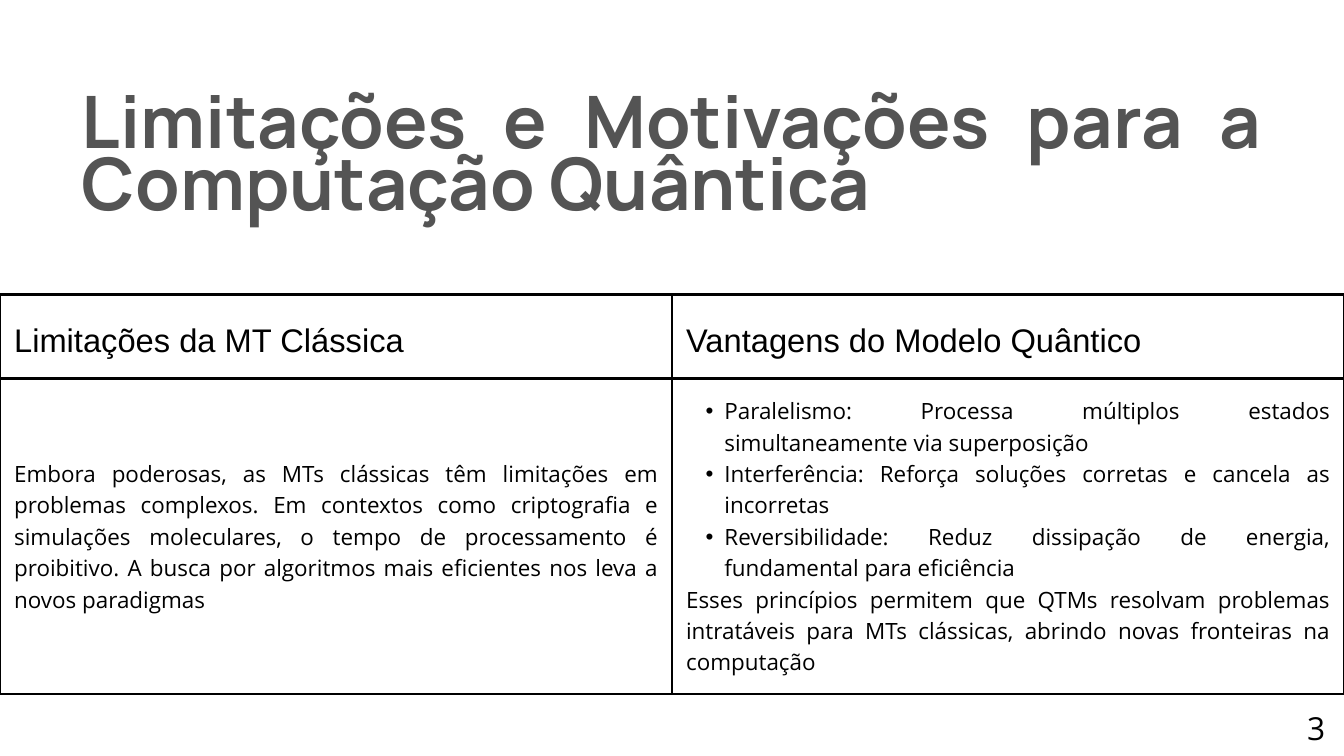
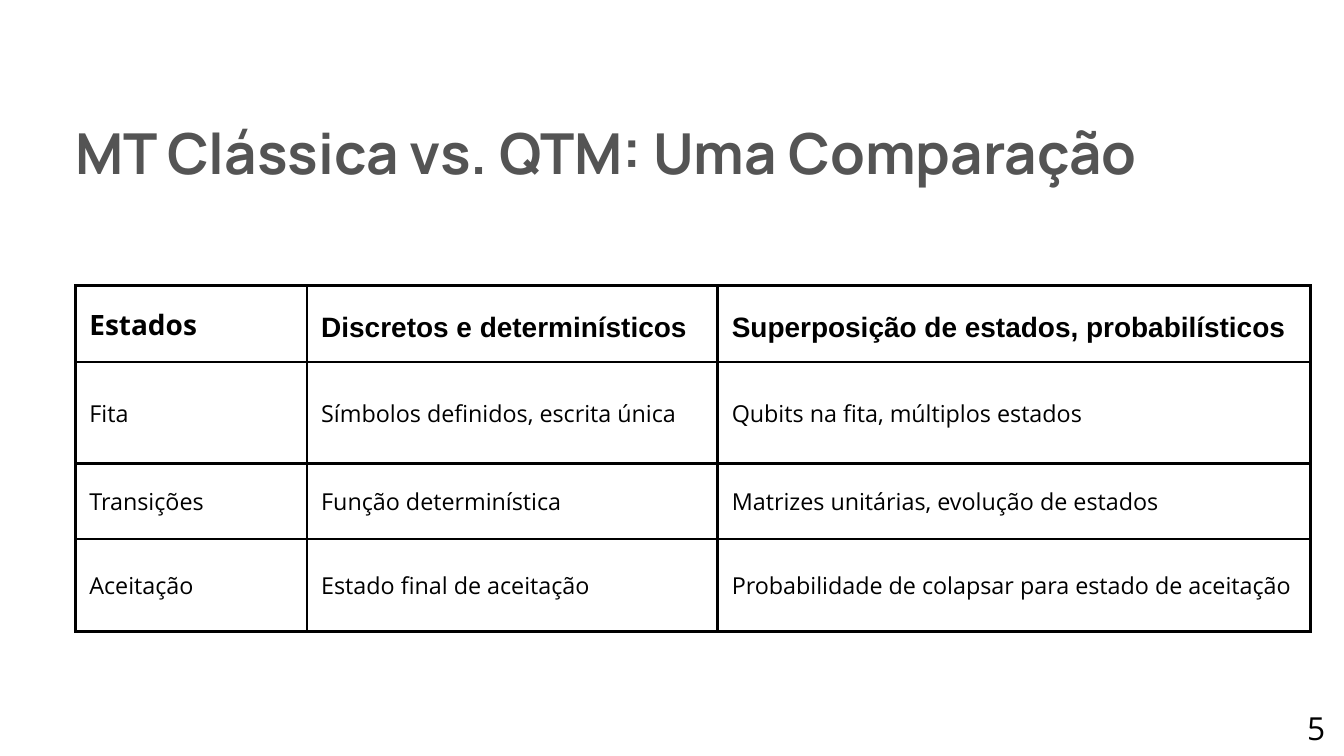
"""Build two slides comparing classical Turing machines with the quantum model."""
from dataclasses import dataclass

import pptx
import pptx.dml.color
import pptx.enum.text
import pptx.oxml
import pptx.oxml.ns
import pptx.util
from pptx.util import Inches

COLORS = {"page": "FFFFFF", "title": "545454", "ink": "000000"}
ALIGN = pptx.enum.text.PP_ALIGN
BORDER_PT = 3
CELL_MARGIN = 0.21
BODY_SPACING = 1.4
TITLE_SPACING = 0.86


@dataclass(frozen=True)
class Style:
    size: float
    font: str = "Open Sans"
    bold: bool = False
    color: str = "ink"
    align: ALIGN = ALIGN.LEFT
    spacing: float = BODY_SPACING


@dataclass(frozen=True)
class Para:
    text: str
    style: Style
    bullet: bool = False


@dataclass(frozen=True)
class Box:
    left: float
    top: float
    width: float
    height: float

    def emu(self) -> list:
        return [Inches(v) for v in (self.left, self.top, self.width, self.height)]


@dataclass(frozen=True)
class Grid:
    box: Box
    cols: list[float]
    rows: list[float]
    cells: list[list[list[Para]]]


@dataclass(frozen=True)
class Page:
    title: str
    title_size: float
    title_box: Box
    grid: Grid
    number: str


NUMBER_BOX = Box(19.45, 10.46, 0.27, 0.63)
NUMBER = Style(34, align=ALIGN.CENTER)
COLUMN_HEAD = Style(35, "Arial", align=ALIGN.JUSTIFY)
COLUMN_BODY = Style(24, align=ALIGN.JUSTIFY)
STATE_HEAD = Style(30, bold=True, align=ALIGN.JUSTIFY)
MODEL_HEAD = Style(30, "Arial", bold=True)
ENTRY = Style(25)

ADVANTAGES = [
    "Paralelismo: Processa múltiplos estados simultaneamente via superposição",
    "Interferência: Reforça soluções corretas e cancela as incorretas",
    "Reversibilidade: Reduz dissipação de energia, fundamental para eficiência",
]
LIMITS = (
    "Embora poderosas, as MTs clássicas têm limitações em problemas complexos. "
    "Em contextos como criptografia e simulações moleculares, o tempo de "
    "processamento é proibitivo. A busca por algoritmos mais eficientes nos leva "
    "a novos paradigmas"
)
OUTLOOK = (
    "Esses princípios permitem que QTMs resolvam problemas intratáveis para MTs "
    "clássicas, abrindo novas fronteiras na computação"
)
COMPARISON = [
    ["Fita", "Símbolos definidos, escrita única", "Qubits na fita, múltiplos estados"],
    ["Transições", "Função determinística", "Matrizes unitárias, evolução de estados"],
    ["Aceitação", "Estado final de aceitação",
     "Probabilidade de colapsar para estado de aceitação"],
]

MOTIVATION = Grid(
    Box(0, 4.38, 20, 5.95), [10, 10], [1.25, 4.7],
    [
        [[Para("Limitações da MT Clássica", COLUMN_HEAD)],
         [Para("Vantagens do Modelo Quântico", COLUMN_HEAD)]],
        [[Para(LIMITS, COLUMN_BODY)],
         [Para(t, COLUMN_BODY, bullet=True) for t in ADVANTAGES]
         + [Para(OUTLOOK, COLUMN_BODY)]],
    ],
)
MODELS = Grid(
    Box(1.12, 4.25, 18.38, 5.16), [3.45, 6.11, 8.82], [1.14, 1.51, 1.12, 1.38],
    [
        [[Para("Estados", STATE_HEAD)],
         [Para("Discretos e determinísticos", MODEL_HEAD)],
         [Para("Superposição de estados, probabilísticos", MODEL_HEAD)]],
        *[[[Para(t, ENTRY)] for t in row] for row in COMPARISON],
    ],
)
PAGES = [
    Page("Limitações e Motivações para a Computação Quântica", 77.5,
         Box(1.22, 1.5, 17.56, 2), MOTIVATION, "3"),
    Page("MT Clássica vs. QTM: Uma Comparação", 60.5,
         Box(1.12, 2.04, 17.66, 0.86), MODELS, "5"),
]


def rgb(name: str) -> pptx.dml.color.RGBColor:
    return pptx.dml.color.RGBColor.from_string(COLORS[name])


def add_bullet(p) -> None:
    p.level = 1
    pPr = p._p.get_or_add_pPr()
    pPr.set("marL", str(Inches(0.57)))
    pPr.set("indent", str(Inches(-0.28)))
    for tag, key, value in (("buFont", "typeface", "Arial"), ("buChar", "char", "•")):
        el = pptx.oxml.parse_xml(f'<a:{tag} {pptx.oxml.ns.nsdecls("a")}/>')
        el.set(key, value)
        pPr.append(el)


def write(tf, paras: list[Para]) -> None:
    for i, para in enumerate(paras):
        st = para.style
        p = tf.add_paragraph() if i else tf.paragraphs[0]
        p.alignment = st.align
        p.line_spacing = pptx.util.Pt(round(st.size * st.spacing, 1))
        if para.bullet:
            add_bullet(p)
        r = p.add_run()
        r.text = para.text
        r.font.name = st.font
        r.font.size = pptx.util.Pt(st.size)
        r.font.bold = st.bold
        r.font.color.rgb = rgb(st.color)


def add_text(s, box: Box, para: Para) -> None:
    tf = s.shapes.add_textbox(*box.emu()).text_frame
    tf.margin_left = tf.margin_right = tf.margin_top = tf.margin_bottom = 0
    tf.word_wrap = True
    tf.auto_size = pptx.enum.text.MSO_AUTO_SIZE.SHAPE_TO_FIT_TEXT
    write(tf, [para])


def add_borders(cell) -> None:
    tcPr = cell._tc.get_or_add_tcPr()
    for i, side in enumerate("LRTB"):
        tcPr.insert(i, pptx.oxml.parse_xml(
            f'<a:ln{side} {pptx.oxml.ns.nsdecls("a")} w="{pptx.util.Pt(BORDER_PT)}">'
            f'<a:solidFill><a:srgbClr val="{COLORS["ink"]}"/></a:solidFill>'
            f'<a:prstDash val="solid"/></a:ln{side}>'))


def add_grid(s, grid: Grid) -> None:
    table = s.shapes.add_table(len(grid.rows), len(grid.cols), *grid.box.emu()).table
    table.first_row = table.horz_banding = False
    for col, width in zip(table.columns, grid.cols):
        col.width = Inches(width)
    for row, height, content in zip(table.rows, grid.rows, grid.cells):
        row.height = Inches(height)
        for cell, paras in zip(row.cells, content):
            cell.margin_left = cell.margin_right = Inches(CELL_MARGIN)
            cell.margin_top = cell.margin_bottom = Inches(CELL_MARGIN)
            cell.vertical_anchor = pptx.enum.text.MSO_ANCHOR.MIDDLE
            cell.fill.background()
            add_borders(cell)
            write(cell.text_frame, paras)


def add_page(prs, page: Page) -> None:
    s = prs.slides.add_slide(prs.slide_layouts[6])
    s.background.fill.solid()
    s.background.fill.fore_color.rgb = rgb("page")
    title = Style(page.title_size, "Manrope", True, "title", ALIGN.JUSTIFY, TITLE_SPACING)
    add_grid(s, page.grid)
    add_text(s, page.title_box, Para(page.title, title))
    add_text(s, NUMBER_BOX, Para(page.number, NUMBER))


def main() -> None:
    prs = pptx.Presentation()
    prs.slide_width, prs.slide_height = Inches(20), Inches(11.25)
    for page in PAGES:
        add_page(prs, page)
    prs.save("out.pptx")


if __name__ == "__main__":
    main()
